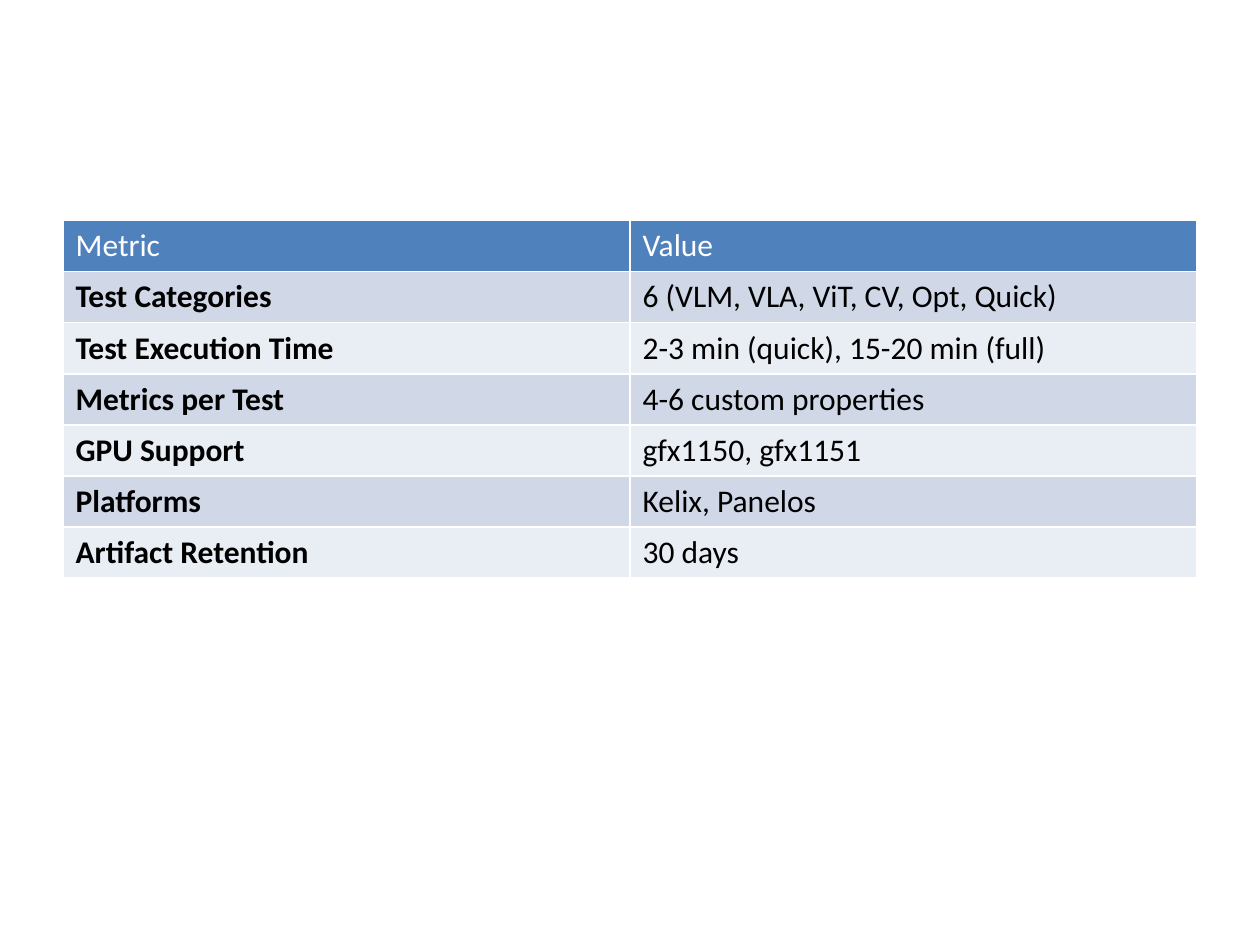
from lxml.etree import SubElement
from pptx import Presentation
from pptx.dml.color import RGBColor
from pptx.oxml.ns import qn
from pptx.util import Inches, Pt

FONT = "Calibri"
WHITE, BLACK = "FFFFFF", "000000"
HEADER_FILL = "4F81BD"
BAND_FILLS = ("D0D8E8", "E9EDF4")
ROW_HEIGHT = 0.4

METRICS = [
    ("Metric", "Value"),
    ("Test Categories", "6 (VLM, VLA, ViT, CV, Opt, Quick)"),
    ("Test Execution Time", "2-3 min (quick), 15-20 min (full)"),
    ("Metrics per Test", "4-6 custom properties"),
    ("GPU Support", "gfx1150, gfx1151"),
    ("Platforms", "Kelix, Panelos"),
    ("Artifact Retention", "30 days"),
]


def color(hex_string):
    return RGBColor.from_string(hex_string)


def add_borders(cell, hex_string, width=1):
    properties = cell._tc.get_or_add_tcPr()
    for side in ("a:lnL", "a:lnR", "a:lnT", "a:lnB"):
        line = SubElement(properties, qn(side), w=str(Pt(width)))
        fill = SubElement(line, qn("a:solidFill"))
        SubElement(fill, qn("a:srgbClr"), val=hex_string)


def format_cell(cell, text, fill, text_color, bold):
    # Borders come before the fill in the cell's XML
    add_borders(cell, WHITE)
    cell.fill.solid()
    cell.fill.fore_color.rgb = color(fill)
    run = cell.text_frame.paragraphs[0].add_run()
    run.text = text
    run.font.name = FONT
    run.font.size = Pt(18)
    run.font.bold = bold
    run.font.color.rgb = color(text_color)


def add_metrics_table(slide, left, top, width):
    rows, columns = len(METRICS), len(METRICS[0])
    table = slide.shapes.add_table(
        rows, columns, left, top, width, Inches(ROW_HEIGHT * rows)
    ).table
    for row, texts in enumerate(METRICS):
        is_header = row == 0
        fill = HEADER_FILL if is_header else BAND_FILLS[(row - 1) % 2]
        text_color = WHITE if is_header else BLACK
        for column, text in enumerate(texts):
            is_label = column == 0 and not is_header
            format_cell(table.cell(row, column), text, fill, text_color, is_label)


def main():
    deck = Presentation()
    deck.slide_width, deck.slide_height = Inches(10), Inches(7.5)
    slide = deck.slides.add_slide(deck.slide_layouts[6])

    # Metrics table, with a margin of 5 % at each side
    margin = int(deck.slide_width * 0.05)
    add_metrics_table(slide, margin, Inches(1.75), deck.slide_width - 2 * margin)

    deck.save("out.pptx")


if __name__ == "__main__":
    main()
